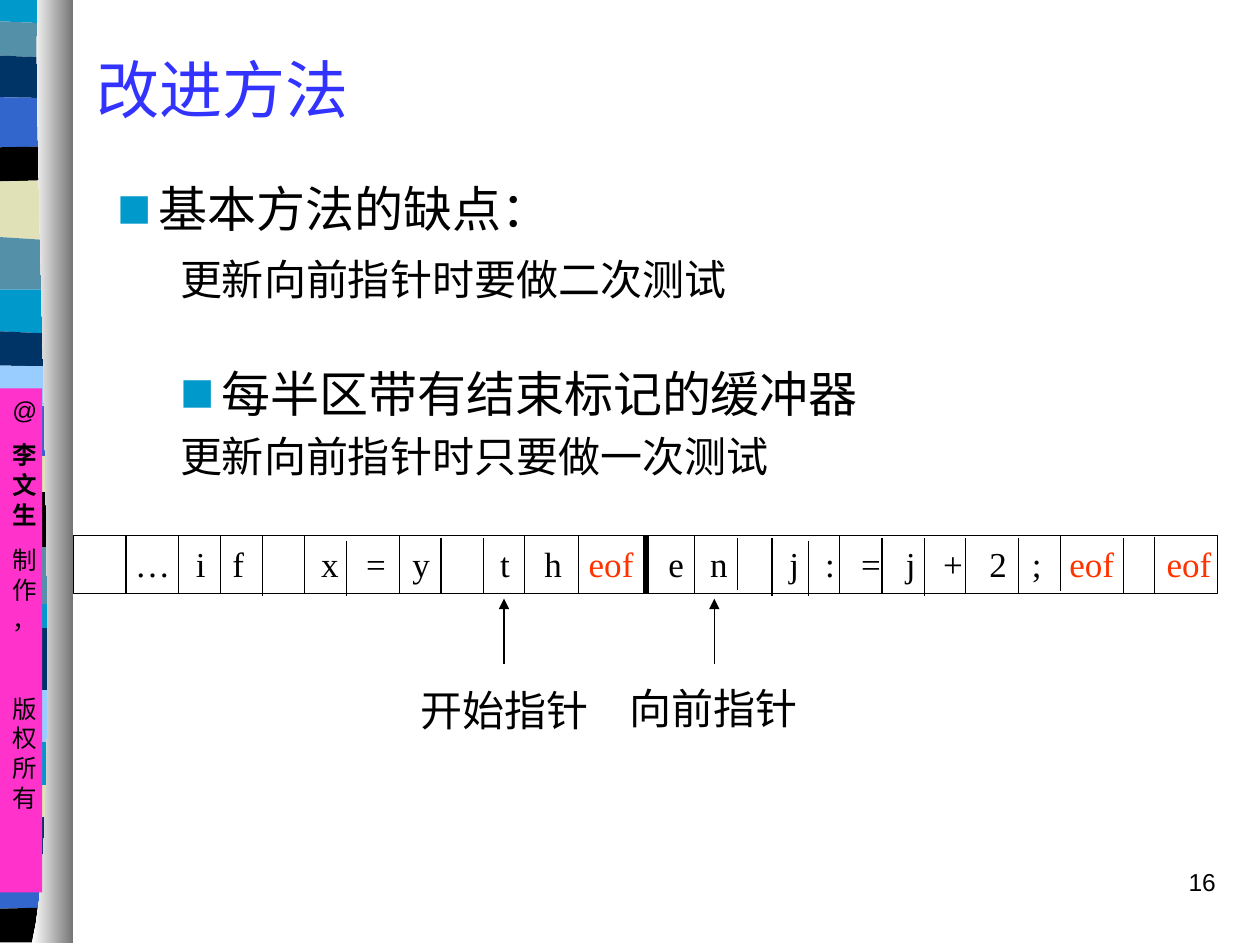
from dataclasses import dataclass
from itertools import pairwise
from typing import Optional

from lxml import etree
from pptx import Presentation
from pptx.dml.color import RGBColor
from pptx.enum.shapes import MSO_CONNECTOR, MSO_SHAPE
from pptx.enum.text import MSO_ANCHOR, PP_ALIGN
from pptx.oxml.ns import qn
from pptx.util import Cm, Pt

COLORS = {
    "black": "000000", "white": "FFFFFF", "grey": "767676", "title": "3333FF",
    "eof": "FF3300", "pink": "FF33CC", "cyan": "0099CC", "teal": "5490A8",
    "navy": "003366", "blue": "3366CC", "sand": "E1E1B7", "sky": "99CCFF",
}
CJK, LATIN, SERIF = "Noto Sans CJK SC", "Arial", "Times New Roman"
INSET_X, INSET_Y = 0.25, 0.13
ROW_TOP, ROW_BOTTOM = 10.8, 11.96
SYMBOLS_LEFT = 2.11


@dataclass
class Band:
    color: str
    left_top: float
    right_top: float


@dataclass
class Symbol:
    text: str
    center: float


@dataclass
class Divider:
    x: float
    top: float = ROW_TOP
    bottom: float = ROW_BOTTOM
    weight: float = 0.75


@dataclass
class Line:
    text: str
    size: float
    font: str = CJK
    color: str = "black"
    align: PP_ALIGN = PP_ALIGN.LEFT
    bold: bool = False
    before: float = 0
    spacing: Optional[float | Pt] = None
    margin: float = 0
    bullet: bool = False


BANDS = [
    Band("cyan", 0, 0), Band("teal", 0.43, 0.48), Band("navy", 1.12, 1.17),
    Band("blue", 1.96, 1.98), Band("black", 2.97, 2.95), Band("sand", 3.66, 3.63),
    Band("teal", 4.78, 4.85), Band("cyan", 5.84, 5.84), Band("navy", 6.68, 6.73),
    Band("sky", 7.37, 7.39), Band("blue", 8.18, 8.18), Band("sand", 9.19, 9.19),
    Band("black", 9.91, 9.91), Band("teal", 11.02, 11.02), Band("cyan", 12.17, 12.17),
    Band("navy", 12.67, 12.67), Band("sky", 13.92, 13.92), Band("cyan", 14.96, 14.96),
    Band("sand", 15.82, 15.82), Band("navy", 16.48, 16.48), Band("blue", 17.27, 17.27),
    Band("black", 18.32, 18.29), Band("black", 19, 19),
]
SYMBOLS = [
    Symbol("…", 3.08), Symbol("i", 4.05), Symbol("f", 4.8), Symbol("x", 6.65),
    Symbol("=", 7.58), Symbol("y", 8.49), Symbol("t", 10.18), Symbol("h", 11.15),
    Symbol("eof", 12.32), Symbol("e", 13.63), Symbol("n", 14.49), Symbol("j", 16.01),
    Symbol(":", 16.73), Symbol("=", 17.56), Symbol("j", 18.36), Symbol("+", 19.21),
    Symbol("2", 20.12), Symbol(";", 20.9), Symbol("eof", 22.01), Symbol("eof", 23.97),
]
DIVIDERS = [
    Divider(2.54), Divider(3.6), Divider(4.45), Divider(5.29, bottom=12.01),
    Divider(6.14), Divider(6.99, 10.9, 12.01), Divider(8.05), Divider(8.89, 10.85),
    Divider(9.74, 10.85), Divider(10.58), Divider(11.66), Divider(13.02, weight=3),
    Divider(14), Divider(14.86, 10.85, 11.89), Divider(15.56, 10.85, 12.01),
    Divider(16.3, 10.9, 12.01), Divider(16.93), Divider(17.78, 10.85),
    Divider(18.63, 10.85, 12.01), Divider(19.47, 10.85), Divider(20.53, 10.85),
    Divider(21.38, bottom=11.91), Divider(22.65, 10.85), Divider(23.28, 10.82),
]


def rgb(name: str) -> RGBColor:
    return RGBColor.from_string(COLORS[name])


def add_outline(shapes, points: list[tuple[float, float]]):
    """Closed borderless polygon through points in centimetres."""
    corners = [(Cm(x), Cm(y)) for x, y in points]
    builder = shapes.build_freeform(*corners[0], scale=1.0)
    builder.add_line_segments(corners[1:], close=True)
    outline = builder.convert_to_shape()
    outline.shadow.inherit = False
    outline.line.fill.background()
    return outline


def bezier(t: float, a: float, b: float, c: float, d: float) -> float:
    u = 1 - t
    return u**3 * a + 3 * u * u * t * b + 3 * u * t * t * c + t**3 * d


def add_side_strip(shapes) -> None:
    for band, below in pairwise(BANDS):
        stripe = add_outline(shapes, [(0, band.left_top), (1.1, band.right_top),
                                      (1.1, below.right_top), (0, below.left_top)])
        stripe.fill.solid()
        stripe.fill.fore_color.rgb = rgb(band.color)

    edge = [(bezier(i / 24, 0.76, 0.64, 1.35, 0.64), bezier(i / 24, 0, 3.18, 16.41, 19.02))
            for i in range(25)]
    roll = add_outline(shapes, edge + [(1.47, 19.02), (1.47, 0)])
    roll.fill.gradient()
    roll.fill.gradient_angle = 0
    for stop, color in zip(roll.fill.gradient_stops, ("white", "grey")):
        stop.color.rgb = rgb(color)
    for stop, position in zip(roll.fill.gradient_stops, (0, 1)):
        stop.position = position


def set_font(paragraph, line: Line) -> None:
    font = paragraph.font
    font.size, font.bold, font.name = Pt(line.size), line.bold, line.font
    font.color.rgb = rgb(line.color)
    if line.font == CJK:
        etree.SubElement(paragraph._p.pPr.find(qn("a:defRPr")), qn("a:ea"), typeface=CJK)


def add_bullet(properties) -> None:
    color = etree.SubElement(properties, qn("a:buClr"))
    etree.SubElement(color, qn("a:srgbClr"), val=COLORS["cyan"])
    etree.SubElement(properties, qn("a:buSzPct"), val="70000")
    etree.SubElement(properties, qn("a:buFont"), typeface=CJK)
    etree.SubElement(properties, qn("a:buChar"), char="■")


def write(frame, lines: list[Line], inset: bool = True) -> None:
    frame.margin_left = frame.margin_right = Cm(INSET_X if inset else 0)
    frame.margin_top = frame.margin_bottom = Cm(INSET_Y if inset else 0)
    for index, line in enumerate(lines):
        paragraph = frame.add_paragraph() if index else frame.paragraphs[0]
        paragraph.text = line.text
        paragraph.alignment = line.align
        paragraph.space_before = Pt(line.before)
        paragraph.line_spacing = line.spacing
        properties = paragraph._p.get_or_add_pPr()
        properties.set("marL", str(Cm(line.margin)))
        properties.set("indent", str(Cm(-0.84 if line.bullet else 0)))
        if line.bullet:
            add_bullet(properties)
        set_font(paragraph, line)


def add_text(shapes, left: float, top: float, width: float, height: float,
             lines: list[Line], wrap: bool = True):
    frame = shapes.add_textbox(Cm(left), Cm(top), Cm(width), Cm(height)).text_frame
    frame.word_wrap = wrap
    write(frame, lines, inset=wrap)
    return frame


def add_rectangle(shapes, left: float, top: float, width: float, height: float):
    box = shapes.add_shape(MSO_SHAPE.RECTANGLE, Cm(left), Cm(top), Cm(width), Cm(height))
    box.shadow.inherit = False
    return box


def add_line(shapes, x: float, start: float, end: float, weight: float = 0.75,
             arrow: bool = False) -> None:
    line = shapes.add_connector(MSO_CONNECTOR.STRAIGHT, Cm(x), Cm(start), Cm(x), Cm(end))
    line.line.width = Pt(weight)
    line.line.color.rgb = rgb("black")
    if arrow:
        etree.SubElement(line.line._get_or_add_ln(), qn("a:tailEnd"), type="triangle")
    etree.SubElement(line._element.spPr, qn("a:effectLst"))


def add_buffer(shapes) -> None:
    """Two half buffers, with each symbol centred on its own tab stop."""
    row = add_rectangle(shapes, 1.48, ROW_TOP, 23.06, ROW_BOTTOM - ROW_TOP)
    row.fill.background()
    row.line.color.rgb, row.line.width = rgb("black"), Pt(0.75)

    frame = add_text(shapes, SYMBOLS_LEFT, ROW_TOP, 22.9, ROW_BOTTOM - ROW_TOP, [])
    paragraph = frame.paragraphs[0]
    tabs = etree.SubElement(paragraph._p.get_or_add_pPr(), qn("a:tabLst"))
    set_font(paragraph, Line("", 20, SERIF))
    for symbol in SYMBOLS:
        offset = Cm(symbol.center - SYMBOLS_LEFT - INSET_X)
        etree.SubElement(tabs, qn("a:tab"), pos=str(offset), algn="ctr")
        run = paragraph.add_run()
        run.text = "\t" + symbol.text
        if symbol.text == "eof":
            run.font.color.rgb = rgb("eof")
    for divider in DIVIDERS:
        add_line(shapes, divider.x, divider.top, divider.bottom, divider.weight)


def main() -> None:
    deck = Presentation()
    deck.slide_width, deck.slide_height = Cm(25.4), Cm(19.05)
    shapes = deck.slides.add_slide(deck.slide_layouts[6]).shapes

    add_side_strip(shapes)
    credit = add_rectangle(shapes, 0, 7.83, 0.85, 10.16)
    credit.fill.solid()
    credit.fill.fore_color.rgb = rgb("pink")
    credit.line.fill.background()
    credit.text_frame.vertical_anchor = MSO_ANCHOR.TOP
    write(credit.text_frame, [
        Line(text, 14, LATIN, align=PP_ALIGN.CENTER, bold=bold, before=before, spacing=Pt(17))
        for text, bold, before in [("@", False, 26), ("李文生", True, 8.8),
                                   ("制作，", False, 8.8), ("版权所有", False, 33.9)]])

    title = add_text(shapes, 1.7, 0.2, 23.16, 3.18, [Line("改进方法", 36, color="title")])
    title.vertical_anchor = MSO_ANCHOR.MIDDLE
    add_text(shapes, 2.11, 3.61, 21.8, 6.17, [
        Line("基本方法的缺点：", 28, before=7, spacing=0.9, margin=0.84, bullet=True),
        Line("更新向前指针时要做二次测试", 24, before=6, spacing=1.1, margin=1.27),
        Line("每半区带有结束标记的缓冲器", 28, before=7, spacing=1.8, margin=2.11, bullet=True),
        Line("更新向前指针时只要做一次测试", 24, before=15, spacing=0.6, margin=1.27)])

    add_buffer(shapes)
    for name, left, top, arrow_x in [("开始指针", 8.47, 13.8, 10.16),
                                     ("向前指针", 12.7, 13.76, 14.4)]:
        add_text(shapes, left, top, 3.39, 1.02, [Line(name, 24)], wrap=False)
        add_line(shapes, arrow_x, 13.39, 12.07, arrow=True)
    add_text(shapes, 19.47, 17.35, 5.29, 1.27,
             [Line("16", 14, LATIN, align=PP_ALIGN.RIGHT, before=8.8)])
    deck.save("out.pptx")


if __name__ == "__main__":
    main()
